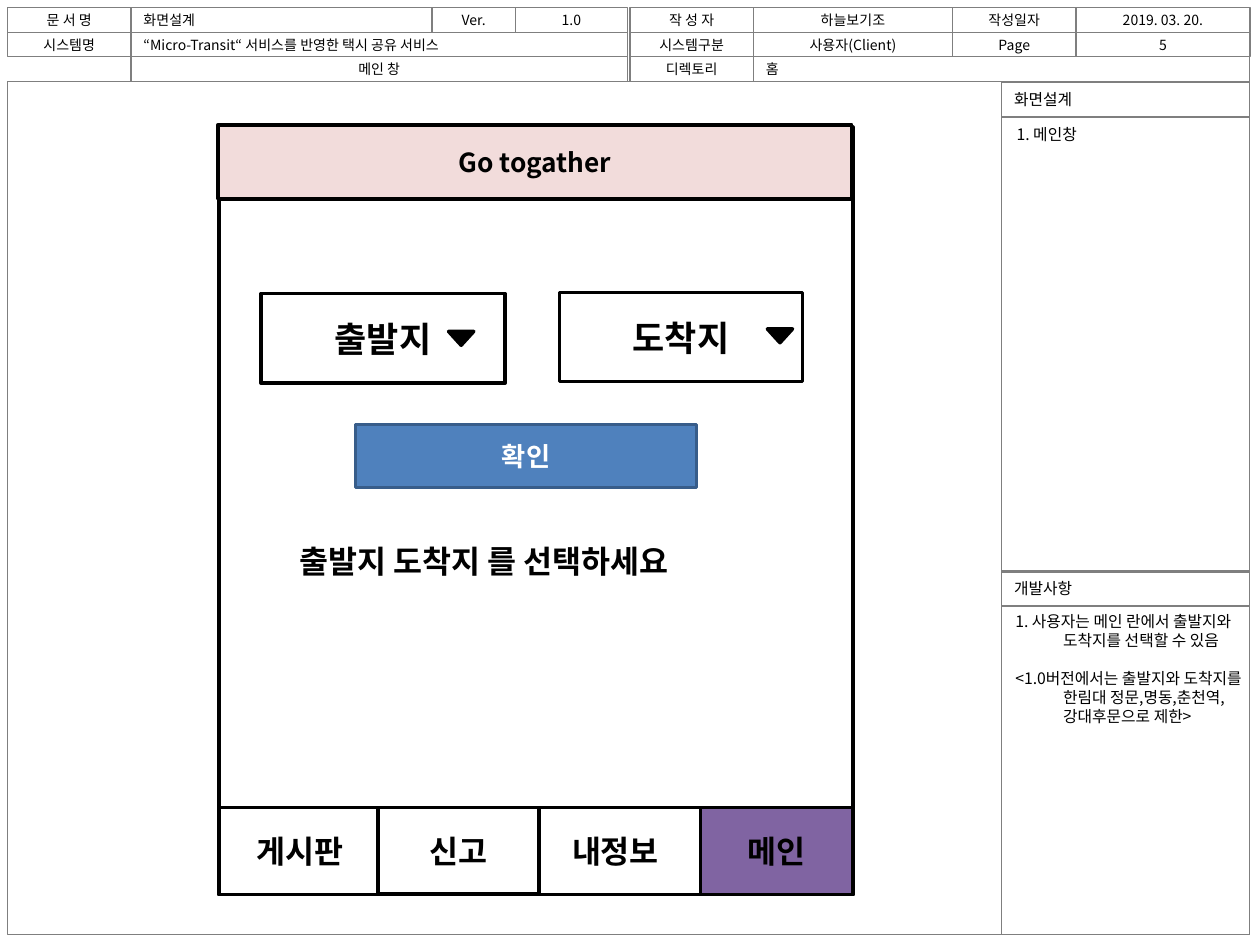
from dataclasses import dataclass

from lxml.etree import SubElement
from pptx import Presentation
from pptx.dml.color import RGBColor
from pptx.enum.shapes import MSO_SHAPE
from pptx.enum.text import MSO_ANCHOR, PP_ALIGN
from pptx.oxml.ns import qn
from pptx.shapes.autoshape import Shape
from pptx.slide import Slide
from pptx.text.text import TextFrame
from pptx.util import Inches, Pt

SLIDE_WIDTH, SLIDE_HEIGHT = Inches(10), Inches(7.5)
COLUMNS, ROWS = 1000, 750
COLUMN, ROW = SLIDE_WIDTH // COLUMNS, SLIDE_HEIGHT // ROWS
FONT = "Noto Sans CJK KR"
COLORS = {
    "ink": "000000",
    "paper": "FFFFFF",
    "rule": "7F7F7F",
    "banner": "F2DCDB",
    "confirm": "4F81BD",
    "confirm_edge": "385D8A",
    "active_tab": "8064A2",
}
FORMATS = {
    "header": {"size": Pt(8), "bold": False},
    "panel": {"size": Pt(9), "bold": False},
    "button": {"size": Pt(15), "bold": True},
    "tab": {"size": Pt(18), "bold": True},
    "selector": {"size": Pt(20), "bold": True},
}
CENTER, LEFT = PP_ALIGN.CENTER, PP_ALIGN.LEFT


@dataclass(frozen=True)
class Area:
    column: int
    row: int
    columns: int
    rows: int

    def lengths(self) -> tuple[int, int, int, int]:
        return (self.column * COLUMN, self.row * ROW,
                self.columns * COLUMN, self.rows * ROW)


@dataclass(frozen=True)
class Box:
    area: Area
    text: str = ""
    format: str = "header"
    align: PP_ALIGN = CENTER
    fill: str = ""
    edge: str = "ink"
    weight: float = 2
    ink: str = "ink"


@dataclass(frozen=True)
class HeaderCell:
    row: int
    start: int
    end: int
    text: str = ""
    align: PP_ALIGN = CENTER


@dataclass(frozen=True)
class Note:
    area: Area
    paragraphs: tuple[str, ...]
    format: str = "panel"
    hanging: float = 0.38
    gap: float = 10.7


HEADER_ROWS = (6, 26, 45, 65)
HEADER_CELLS = (
    HeaderCell(0, 6, 104, "문 서 명"),
    HeaderCell(0, 104, 343, "화면설계", LEFT),
    HeaderCell(0, 343, 409, "Ver."),
    HeaderCell(0, 409, 498, "1.0"),
    HeaderCell(0, 500, 598, "작 성 자"),
    HeaderCell(0, 598, 756, "하늘보기조"),
    HeaderCell(0, 756, 854, "작성일자"),
    HeaderCell(0, 854, 992, "2019. 03. 20."),
    HeaderCell(1, 6, 104, "시스템명"),
    HeaderCell(1, 104, 498, "“Micro-Transit“ 서비스를 반영한 택시 공유 서비스", LEFT),
    HeaderCell(1, 500, 598, "시스템구분"),
    HeaderCell(1, 598, 756, "사용자(Client)"),
    HeaderCell(1, 756, 854, "Page"),
    HeaderCell(1, 854, 992, "5"),
    HeaderCell(2, 104, 498, "메인 창"),
    HeaderCell(2, 500, 598, "디렉토리"),
    HeaderCell(2, 598, 992, "홈", LEFT),
)
PANELS = ((65, 28, "화면설계"), (93, 361, ""), (453, 28, "개발사항"), (481, 261, ""))
NOTES = (
    Note(Area(797, 94, 203, 25), ("1. 메인창",)),
    Note(Area(796, 481, 203, 116), (
        "1. 사용자는 메인 란에서 출발지와 도착지를 선택할 수 있음",
        "<1.0버전에서는 출발지와 도착지를 한림대 정문,명동,춘천역,강대후문으로 제한>",
    )),
)
APP_SCREEN = (
    Box(Area(174, 101, 503, 609)),
    Box(Area(173, 99, 503, 59), "Go togather", "button", fill="banner"),
    Box(Area(207, 233, 194, 71), "출발지", "selector", fill="paper"),
    Box(Area(444, 232, 193, 71), "도착지", "selector", fill="paper"),
    Box(Area(174, 641, 128, 69), "게시판", "tab", fill="paper"),
    Box(Area(421, 641, 135, 69), "내정보", "tab", fill="paper"),
    Box(Area(556, 641, 121, 69), "메인", "tab", fill="active_tab"),
    Box(Area(300, 641, 128, 68), "신고", "tab", fill="paper"),
    Box(Area(282, 337, 271, 50), "확인", "button", fill="confirm",
        edge="confirm_edge", ink="paper"),
)
DROPDOWN_ARROWS = (Area(356, 263, 20, 11), Area(609, 261, 20, 11))
PROMPT = Note(Area(228, 425, 394, 40), ("출발지 도착지 를 선택하세요",), "tab", 0)


def color(name: str) -> RGBColor:
    return RGBColor.from_string(COLORS[name])


def write(frame: TextFrame, paragraphs: tuple[str, ...], format: str,
          align: PP_ALIGN, ink: str = "ink", gap: float = 0,
          hanging: float = 0) -> None:
    frame.word_wrap = True
    for index, wording in enumerate(paragraphs):
        paragraph = frame.add_paragraph() if index else frame.paragraphs[0]
        paragraph.alignment = align
        if index:
            paragraph.space_before = Pt(gap)
        if hanging:
            properties = paragraph._p.get_or_add_pPr()
            properties.set("marL", str(Inches(hanging)))
            properties.set("indent", str(-Inches(hanging)))
        run = paragraph.add_run()
        run.text = wording
        for attribute, setting in {"name": FONT, **FORMATS[format]}.items():
            setattr(run.font, attribute, setting)
        run.font.color.rgb = color(ink)
        SubElement(run._r.get_or_add_rPr(), qn("a:ea"), typeface=FONT)


def draw_box(slide: Slide, box: Box, outline: MSO_SHAPE = MSO_SHAPE.RECTANGLE) -> Shape:
    drawn = slide.shapes.add_shape(outline, *box.area.lengths())
    drawn.shadow.inherit = False
    if box.fill:
        drawn.fill.solid()
        drawn.fill.fore_color.rgb = color(box.fill)
    else:
        drawn.fill.background()
    drawn.line.color.rgb = color(box.edge)
    drawn.line.width = Pt(box.weight)
    if box.text:
        drawn.text_frame.vertical_anchor = MSO_ANCHOR.MIDDLE
        write(drawn.text_frame, (box.text,), box.format, box.align, box.ink)
    return drawn


def draw_ruled(slide: Slide, area: Area, text: str = "", format: str = "header",
               align: PP_ALIGN = LEFT) -> None:
    draw_box(slide, Box(area, text, format, align, edge="rule", weight=0.75))


def draw_header_cell(slide: Slide, cell: HeaderCell) -> None:
    top, bottom = HEADER_ROWS[cell.row:cell.row + 2]
    area = Area(cell.start, top, cell.end - cell.start, bottom - top)
    draw_ruled(slide, area, cell.text, "header", cell.align)


def draw_note(slide: Slide, note: Note) -> None:
    frame = slide.shapes.add_textbox(*note.area.lengths()).text_frame
    write(frame, note.paragraphs, note.format, LEFT, gap=note.gap, hanging=note.hanging)


def main() -> None:
    deck = Presentation()
    deck.slide_width, deck.slide_height = SLIDE_WIDTH, SLIDE_HEIGHT
    slide = deck.slides.add_slide(deck.slide_layouts[6])
    draw_ruled(slide, Area(6, 65, 986, 677))
    for cell in HEADER_CELLS:
        draw_header_cell(slide, cell)
    for row, rows, heading in PANELS:
        draw_ruled(slide, Area(795, row, 197, rows), heading, "panel")
    for box in APP_SCREEN:
        draw_box(slide, box)
    for area in DROPDOWN_ARROWS:
        arrow = draw_box(slide, Box(area, fill="ink"), MSO_SHAPE.ISOSCELES_TRIANGLE)
        arrow.rotation = 180
    for note in (*NOTES, PROMPT):
        draw_note(slide, note)
    deck.save("out.pptx")


if __name__ == "__main__":
    main()
